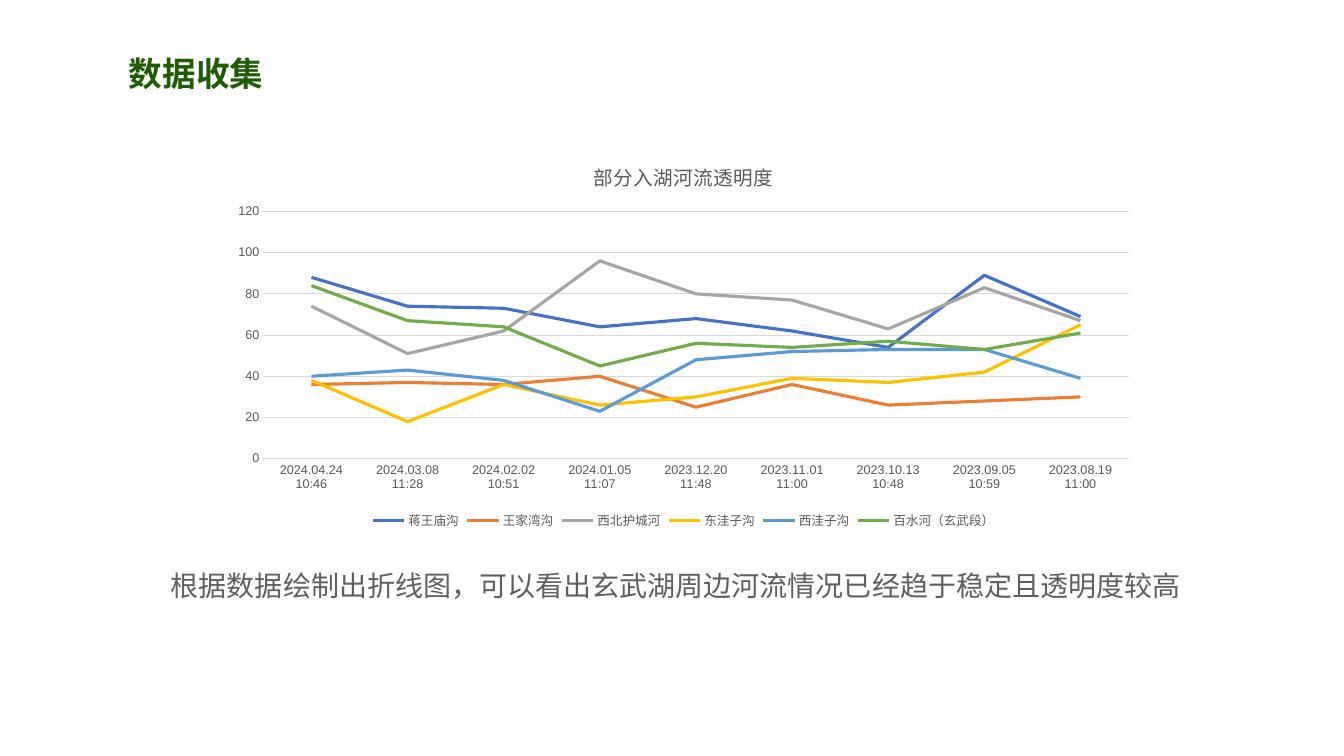
from pptx import Presentation
from pptx.chart.data import CategoryChartData
from pptx.dml.color import RGBColor
from pptx.enum.chart import XL_CHART_TYPE, XL_LEGEND_POSITION, XL_TICK_MARK
from pptx.enum.text import PP_ALIGN
from pptx.util import Pt

LINE = XL_CHART_TYPE.LINE
BOTTOM = XL_LEGEND_POSITION.BOTTOM
NO_TICK = XL_TICK_MARK.NONE
LEFT, CENTER = PP_ALIGN.LEFT, PP_ALIGN.CENTER

GREEN = RGBColor(0x1F, 0x5D, 0x05)
GRAY = RGBColor(0x5F, 0x5F, 0x5F)
LABEL = RGBColor(0x59, 0x59, 0x59)
GRID = RGBColor(0xD9, 0xD9, 0xD9)
BLUE = RGBColor(0x44, 0x72, 0xC4)
ORANGE = RGBColor(0xED, 0x7D, 0x31)
SILVER = RGBColor(0xA5, 0xA5, 0xA5)
GOLD = RGBColor(0xFF, 0xC0, 0x00)
SKY = RGBColor(0x5B, 0x9B, 0xD5)
LEAF = RGBColor(0x70, 0xAD, 0x47)

DATES = ["2024.04.24 10:46", "2024.03.08 11:28", "2024.02.02 10:51",
         "2024.01.05 11:07", "2023.12.20 11:48", "2023.11.01 11:00",
         "2023.10.13 10:48", "2023.09.05 10:59", "2023.08.19 11:00"]
RIVERS = [
    ("蒋王庙沟", BLUE, (88, 74, 73, 64, 68, 62, 54, 89, 69)),
    ("王家湾沟", ORANGE, (36, 37, 36, 40, 25, 36, 26, 28, 30)),
    ("西北护城河", SILVER, (74, 51, 62, 96, 80, 77, 63, 83, 67)),
    ("东洼子沟", GOLD, (38, 18, 36, 26, 30, 39, 37, 42, 65)),
    ("西洼子沟", SKY, (40, 43, 38, 23, 48, 52, 53, 53, 39)),
    ("百水河（玄武段）", LEAF, (84, 67, 64, 45, 56, 54, 57, 53, 61)),
]


class Page:
    def __init__(self, slide, face):
        self.slide = slide
        self.face = face

    def style(self, font, size, color, bold=False):
        looks = {"name": self.face, "size": Pt(size), "bold": bold}
        for key, value in looks.items():
            setattr(font, key, value)
        font.color.rgb = color

    def stroke(self, line, color, width):
        line.color.rgb = color
        line.width = Pt(width)

    def text(self, words, box, size, color, bold=False, align=LEFT,
             pad=7.2, space=1.0):
        frame = self.slide.shapes.add_textbox(*map(Pt, box)).text_frame
        looks = {"word_wrap": True, "margin_left": Pt(pad),
                 "margin_right": Pt(pad)}
        for key, value in looks.items():
            setattr(frame, key, value)
        para = frame.paragraphs[0]
        para.alignment = align
        para.line_spacing = space
        run = para.add_run()
        run.text = words
        self.style(run.font, size, color, bold)

    def chart(self, title, dates, rivers, box):
        data = CategoryChartData()
        data.categories = dates
        for name, _, values in rivers:
            data.add_series(name, values)
        chart = self.slide.shapes.add_chart(
            LINE, *map(Pt, box), data).chart
        self.style(chart.font, 10, LABEL)

        # Title and legend
        chart.has_title = True
        head = chart.chart_title
        head.include_in_layout = False
        run = head.text_frame.paragraphs[0].add_run()
        run.text = title
        self.style(run.font, 14, LABEL)
        chart.has_legend = True
        chart.legend.position = BOTTOM
        chart.legend.include_in_layout = False
        self.style(chart.legend.font, 9, LABEL)

        # Axes
        dates_axis, scale = chart.category_axis, chart.value_axis
        for axis in (dates_axis, scale):
            axis.major_tick_mark = axis.minor_tick_mark = NO_TICK
            self.style(axis.tick_labels.font, 9, LABEL)
        self.stroke(dates_axis.format.line, GRID, 0.75)
        scale.format.line.fill.background()
        self.stroke(scale.major_gridlines.format.line, GRID, 0.75)
        looks = {"minimum_scale": 0, "maximum_scale": 120, "major_unit": 20}
        for key, value in looks.items():
            setattr(scale, key, value)

        # River lines
        plot = chart.plots[0]
        plot.vary_by_categories = False
        for series, (_, color, _) in zip(plot.series, rivers):
            series.smooth = False
            self.stroke(series.format.line, color, 2.25)


def main():
    deck = Presentation()
    deck.slide_width, deck.slide_height = Pt(960), Pt(540)
    page = Page(deck.slides.add_slide(deck.slide_layouts[6]), "Arial")

    # Heading, chart and finding
    page.text("数据收集", (85, 34.6, 211, 36), 24, GREEN, bold=True)
    page.chart("部分入湖河流透明度", DATES, RIVERS, (157, 102.2, 662.4, 278.6))
    page.text("根据数据绘制出折线图，可以看出玄武湖周边河流情况已经趋于稳定且透明度较高",
              (121.7, 390.2, 722.2, 39.6), 20, GRAY, align=CENTER,
              pad=0, space=1.5)
    deck.save("out.pptx")


if __name__ == "__main__":
    main()
